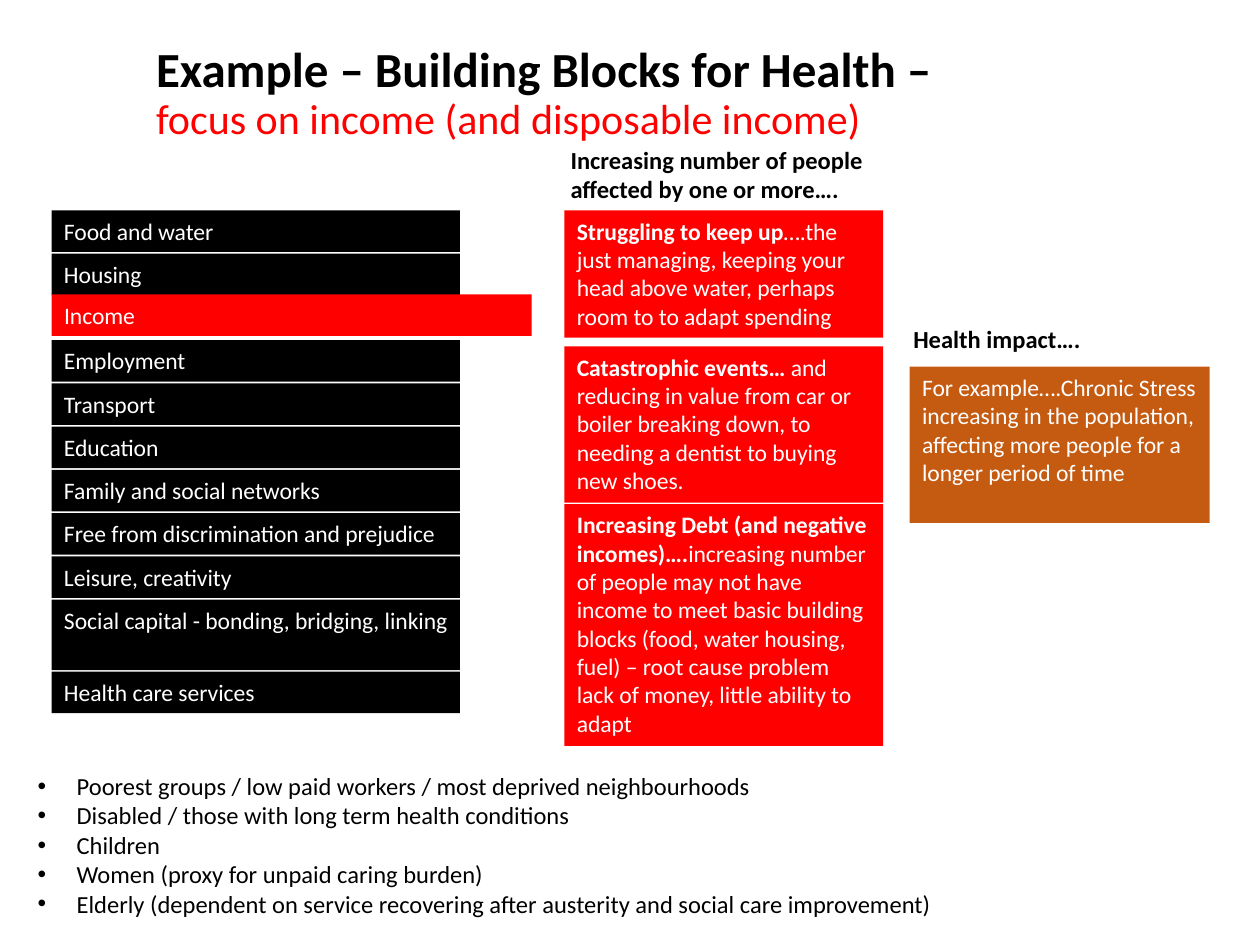
from lxml import etree
from pptx import Presentation
from pptx.dml.color import RGBColor
from pptx.enum.shapes import MSO_SHAPE as Shape
from pptx.enum.text import MSO_ANCHOR as Anchor, MSO_AUTO_SIZE as AutoSize, PP_ALIGN as Align
from pptx.oxml.ns import qn
from pptx.util import Inches, Pt

BLACK = RGBColor(0x00, 0x00, 0x00)
WHITE = RGBColor(0xFF, 0xFF, 0xFF)
RED = RGBColor(0xFF, 0x00, 0x00)
ORANGE = RGBColor(0xC5, 0x5A, 0x11)
FONT = "Calibri"

TITLE = "Example – Building Blocks for Health – "
SUBTITLE = "focus on income (and disposable income)"
BLOCKS = [
    "Food and water",
    "Housing",
    "Income",
    "Employment",
    "Transport",
    "Education",
    "Family and social networks",
    "Free from discrimination and prejudice",
    "Leisure, creativity",
    "Social capital - bonding, bridging, linking",
    "Health care services",
]
FOCUS = "Income"
TWO_LINE = "Social capital - bonding, bridging, linking"
PRESSURES_HEADING = "Increasing number of people affected by one or more…."
PRESSURES = [
    (1.67, 1.01, "Struggling to keep up",
     "….the just managing, keeping your head above water, perhaps room to to adapt spending"),
    (2.75, 1.24, "Catastrophic events… ",
     "and reducing in value from car or boiler breaking down, to needing a dentist "
     "to buying new shoes."),
    (4.0, 1.92, "Increasing Debt (and negative incomes)….",
     "increasing number of people may not have income to meet basic building blocks "
     "(food, water housing, fuel) – root cause problem lack of money, little ability to adapt"),
]
IMPACT_HEADING = "Health impact…."
IMPACT = ("For example….Chronic Stress increasing in the population, "
          "affecting more people for a longer period of time")
GROUPS = [
    "Poorest groups / low paid workers / most deprived neighbourhoods",
    "Disabled / those with long term health conditions",
    "Children",
    "Women (proxy for unpaid caring burden)",
    "Elderly (dependent on service recovering after austerity and social care improvement)",
]

BLOCK_LEFT, BLOCK_WIDTH, FOCUS_WIDTH = 0.41, 3.24, 3.81
BLOCK_TOP, BLOCK_HEIGHT, TWO_LINE_HEIGHT = 1.67, 0.33, 0.56
BLOCK_GAP = 0.01
FOCUS_LIFT = 0.02
PRESSURE_LEFT, PRESSURE_WIDTH = 4.48, 2.53


def add_run(paragraph, text, size=13.5, color=WHITE, bold=False):
    run = paragraph.add_run()
    run.text = text
    font = run.font
    font.name, font.size, font.bold = FONT, Pt(size), bold
    font.color.rgb = color


def add_bullet(paragraph):
    properties = paragraph._p.get_or_add_pPr()
    properties.set("marL", str(Inches(0.31)))
    properties.set("indent", str(-Inches(0.31)))
    etree.SubElement(properties, qn("a:buFont"), typeface="Arial")
    etree.SubElement(properties, qn("a:buChar"), char="•")


def add_text(slide, text, at, fill=None, lead="", bullets=False, **style):
    box = tuple(Inches(length) for length in at)
    if fill is None:
        shape = slide.shapes.add_textbox(*box)
    else:
        shape = slide.shapes.add_shape(Shape.RECTANGLE, *box)
        shape.shadow.inherit = False
        shape.fill.solid()
        shape.fill.fore_color.rgb = fill
        shape.line.fill.background()
    frame = shape.text_frame
    frame.word_wrap = True
    frame.auto_size = AutoSize.SHAPE_TO_FIT_TEXT
    frame.vertical_anchor = Anchor.TOP
    for number, line in enumerate([text] if isinstance(text, str) else text):
        paragraph = frame.add_paragraph() if number else frame.paragraphs[0]
        paragraph.alignment = Align.LEFT
        if bullets:
            add_bullet(paragraph)
        if lead:
            add_run(paragraph, lead, **{**style, "bold": True})
        if line:
            add_run(paragraph, line, **style)
    return shape


def add_title(slide):
    at = (1.14, 0.16, 8.33, 1.03)
    frame = add_text(slide, TITLE, at, size=28, color=BLACK, bold=True).text_frame
    frame.auto_size = AutoSize.NONE
    frame.vertical_anchor = Anchor.BOTTOM
    paragraph = frame.paragraphs[0]
    paragraph.line_spacing = 0.9
    paragraph.add_line_break()
    add_run(paragraph, SUBTITLE, size=24, color=RED)


def add_blocks(slide):
    pitch = (4.76 - BLOCK_TOP) / BLOCKS.index(TWO_LINE)
    top = BLOCK_TOP
    for block in BLOCKS:
        if block == FOCUS:
            at = (BLOCK_LEFT, top - FOCUS_LIFT, FOCUS_WIDTH, BLOCK_HEIGHT)
            add_text(slide, block, at, fill=RED)
            top += pitch
        elif block == TWO_LINE:
            add_text(slide, block, (BLOCK_LEFT, top, BLOCK_WIDTH, TWO_LINE_HEIGHT), fill=BLACK)
            top += TWO_LINE_HEIGHT + BLOCK_GAP
        else:
            add_text(slide, block, (BLOCK_LEFT, top, BLOCK_WIDTH, BLOCK_HEIGHT), fill=BLACK)
            top += pitch


def main():
    deck = Presentation()
    deck.slide_width, deck.slide_height = Inches(10), Inches(7.5)
    slide = deck.slides.add_slide(deck.slide_layouts[6])

    add_title(slide)
    add_blocks(slide)
    for top, height, lead, text in PRESSURES:
        at = (PRESSURE_LEFT, top, PRESSURE_WIDTH, height)
        add_text(slide, text, at, fill=RED, lead=lead)
    heading = {"size": 14, "color": BLACK, "bold": True}
    add_text(slide, PRESSURES_HEADING, (4.43, 1.1, 2.63, 0.57), **heading)
    impact = add_text(slide, IMPACT, (7.22, 2.91, 2.38, 1.24), fill=ORANGE)
    impact.text_frame.auto_size = AutoSize.NONE
    add_text(slide, IMPACT_HEADING, (7.15, 2.52, 2.63, 0.34), **heading)
    add_text(slide, GROUPS, (0.2, 6.07, 9.28, 1.28), bullets=True, size=14, color=BLACK)

    deck.save("out.pptx")


if __name__ == "__main__":
    main()
